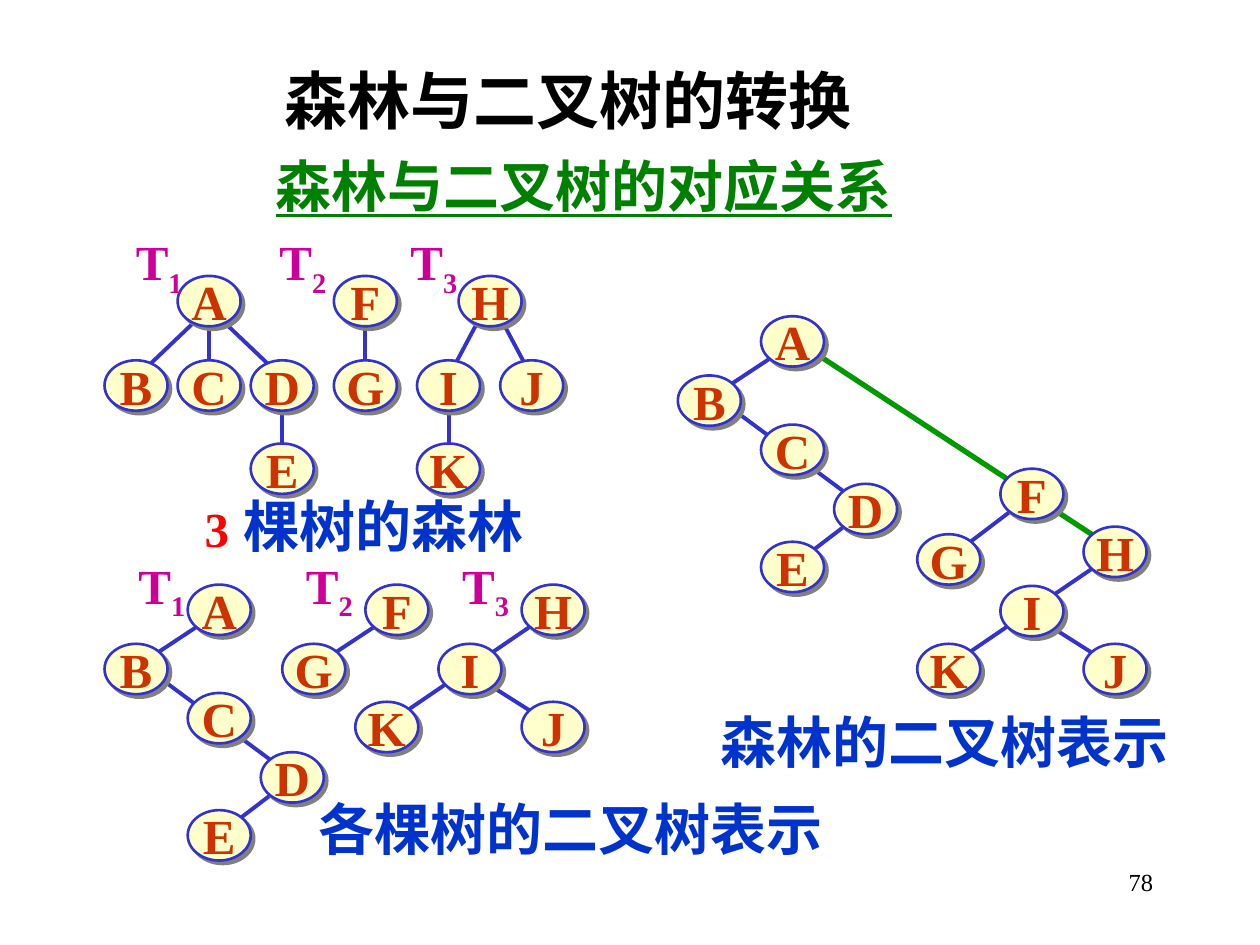
from dataclasses import dataclass

from lxml import etree
from pptx import Presentation
from pptx.dml.color import RGBColor
from pptx.enum.shapes import MSO_CONNECTOR, MSO_SHAPE
from pptx.enum.text import MSO_ANCHOR, PP_ALIGN
from pptx.oxml.ns import qn
from pptx.util import Inches, Pt

STRAIGHT = MSO_CONNECTOR.STRAIGHT
OVAL = MSO_SHAPE.OVAL
TOP, MIDDLE = MSO_ANCHOR.TOP, MSO_ANCHOR.MIDDLE
LEFT, CENTER, RIGHT = PP_ALIGN.LEFT, PP_ALIGN.CENTER, PP_ALIGN.RIGHT


@dataclass(frozen=True)
class Theme:
    serif: str = "Times New Roman"
    sans: str = "Arial"
    black: str = "000000"
    heading: str = "008000"
    caption: str = "0033CC"
    count: str = "FF0000"
    tree_name: str = "CC0099"
    letter: str = "CC3300"
    node: str = "FFFFCC"
    edge: str = "3333CC"
    joining_edge: str = "009900"
    shadow: str = "808080"
    title_size: int = 36
    caption_size: int = 32
    letter_size: int = 28
    number_size: int = 14


# Trees: node centres relative to the root, and edges as offsets (x, y at the
# start, x, y at the end) from the centres of the two nodes they connect.
NODE_W, NODE_H = 0.5, 0.4
LEFT_DOWN = (-0.08, 0.07, 0.08, -0.07)
VERTICAL = (0, 0.13, 0, -0.14)

FOREST_A = (
    {"A": (0, 0), "B": (-0.58, 0.67), "C": (0, 0.67), "D": (0.58, 0.67),
     "E": (0.58, 1.33)},
    {"AB": (-0.08, 0.13, 0.08, -0.14), "AC": VERTICAL,
     "AD": (0.08, 0.13, -0.08, -0.14), "DE": VERTICAL},
)
FOREST_F = ({"F": (0, 0), "G": (0, 0.67)}, {"FG": VERTICAL})
FOREST_H = (
    {"H": (0, 0), "I": (-0.33, 0.67), "J": (0.33, 0.67), "K": (-0.33, 1.33)},
    {"HI": (-0.08, 0.13, 0, -0.07), "HJ": (0.08, 0.13, 0, -0.07),
     "IK": VERTICAL},
)
BINARY_A = (
    {"A": (0, 0), "B": (-0.66, 0.47), "C": (0, 0.86), "D": (0.58, 1.33),
     "E": (0, 1.79)},
    {"AB": LEFT_DOWN, "BD": (0.08, -0.01, -0.08, -0.07), "DE": LEFT_DOWN},
)
BINARY_F = ({"F": (0, 0), "G": (-0.66, 0.47)}, {"FG": LEFT_DOWN})
JOINED_F = ({"F": (0, 0), "G": (-0.66, 0.52)}, {"FG": LEFT_DOWN})
BINARY_H = (
    {"H": (0, 0), "I": (-0.66, 0.47), "K": (-1.32, 0.93), "J": (0, 0.93)},
    {"HK": (-0.09, 0.07, 0.16, -0.13), "IJ": (0.16, 0.13, -0.09, -0.07)},
)
PLACED_TREES = [
    (FOREST_A, 1.66, 2.39), (FOREST_F, 2.9, 2.39), (FOREST_H, 3.89, 2.39),
    (BINARY_A, 1.74, 4.84), (BINARY_F, 3.15, 4.84), (BINARY_H, 4.39, 4.84),
    (BINARY_A, 6.29, 2.71), (JOINED_F, 8.19, 3.92), (BINARY_H, 8.85, 4.38),
]


class TreeSlide:
    def __init__(self, s, theme):
        self.s, self.theme = s, theme

    def run(self, p, text, size, color, **extra):
        r = p.add_run()
        r.text = text
        style = {"name": self.theme.serif, "size": Pt(size), "bold": True}
        for name, value in {**style, **extra}.items():
            setattr(r.font, name, value)
        r.font.color.rgb = RGBColor.from_string(color)
        return r

    def frame(self, tf, align, anchor, wrap=True):
        tf.word_wrap, tf.vertical_anchor = wrap, anchor
        p = tf.paragraphs[0]
        p.alignment = align
        return p

    def title(self, text, *box):
        sp = self.s.shapes.title
        sp.left, sp.top, sp.width, sp.height = map(Inches, box)
        p = self.frame(sp.text_frame, LEFT, TOP)
        t = self.theme
        self.run(p, text, t.title_size, t.black, name=t.sans)

    def text(self, runs, *box, align=CENTER, anchor=MIDDLE, **extra):
        """Add a text box; runs holds (text, size, colour) tuples."""
        sp = self.s.shapes.add_textbox(*map(Inches, box))
        p = self.frame(sp.text_frame, align, anchor)
        for text, size, color in runs:
            self.run(p, text, size, color, **extra)
        return p

    def tree_names(self, tabs, *box):
        """Add T1, T2, T3 with numbers as subscripts, set apart by tab stops."""
        t = self.theme
        p = self.text([], *box, align=LEFT)
        tab_list = etree.SubElement(p._p.get_or_add_pPr(), qn("a:tabLst"))
        for tab in tabs:
            etree.SubElement(tab_list, qn("a:tab"), pos=str(Inches(tab)), algn="l")
        for i in (1, 2, 3):
            self.run(p, "T" if i == 1 else "\tT", t.letter_size, t.tree_name)
            r = self.run(p, str(i), t.letter_size, t.tree_name)
            r._r.get_or_add_rPr().set("baseline", "-25000")

    def edge(self, x1, y1, x2, y2, color, width=2.25):
        line = self.s.shapes.add_connector(STRAIGHT, *map(Inches, (x1, y1, x2, y2)))
        line.line.color.rgb = RGBColor.from_string(color)
        line.line.width = Pt(width)
        etree.SubElement(line._element.spPr, qn("a:effectLst"))

    def node(self, letter, x, y):
        t = self.theme
        box = (x - NODE_W / 2, y - NODE_H / 2, NODE_W, NODE_H)
        sp = self.s.shapes.add_shape(OVAL, *map(Inches, box))
        sp.fill.solid()
        sp.fill.fore_color.rgb = RGBColor.from_string(t.node)
        sp.line.color.rgb = RGBColor.from_string(t.edge)
        sp.line.width = Pt(1.5)
        sp.shadow.inherit = False
        effects = sp._element.spPr.find(qn("a:effectLst"))
        shadow = etree.SubElement(effects, qn("a:outerShdw"), dist=str(Pt(2.8)),
                                  dir="2700000", algn="ctr", rotWithShape="0")
        etree.SubElement(shadow, qn("a:srgbClr"), val=t.shadow)
        tf = sp.text_frame
        for side in ("left", "top", "right", "bottom"):
            setattr(tf, f"margin_{side}", 0)
        p = self.frame(tf, CENTER, MIDDLE, wrap=False)
        self.run(p, letter, t.letter_size, t.letter)

    def tree(self, shape, x, y):
        nodes, edges = shape
        spots = {k: (x + dx, y + dy) for k, (dx, dy) in nodes.items()}
        for (start, end), (dx1, dy1, dx2, dy2) in edges.items():
            (x1, y1), (x2, y2) = spots[start], spots[end]
            self.edge(x1 + dx1, y1 + dy1, x2 + dx2, y2 + dy2, self.theme.edge)
        for letter, spot in spots.items():
            self.node(letter, *spot)


def main():
    prs = Presentation()
    prs.slide_width, prs.slide_height = Inches(10), Inches(7.5)
    t = Theme()
    slide = TreeSlide(prs.slides.add_slide(prs.slide_layouts[5]), t)

    slide.title("森林与二叉树的转换", 2.16, 0.44, 5.12, 0.7)
    slide.text([("森林与二叉树的对应关系", t.caption_size, t.heading)],
               2.09, 1.15, 5.12, 0.63, align=LEFT, anchor=TOP, underline=True)

    slide.edge(6.45, 2.79, 8.77, 4.31, t.joining_edge, 3)
    for shape, x, y in PLACED_TREES:
        slide.tree(shape, x, y)
    slide.tree_names((1.14, 2.18), 0.98, 1.82, 3.06, 0.57)
    slide.tree_names((1.33, 2.57), 1, 4.39, 3.22, 0.57)

    slide.text([("3", t.letter_size, t.count), (" ", t.caption_size, t.count),
                ("棵树的森林", t.caption_size, t.caption)], 1.34, 3.85, 3.1, 0.63)
    for caption, *box in (("各棵树的二叉树表示", 2.42, 6.26, 4.22, 0.63),
                          ("森林的二叉树表示", 5.61, 5.57, 3.77, 0.63)):
        slide.text([(caption, t.caption_size, t.caption)], *box)
    slide.text([("78", t.number_size, t.black)], 7.17, 6.83, 2.08, 0.5,
               align=RIGHT, anchor=TOP, bold=False)
    prs.save("out.pptx")


if __name__ == "__main__":
    main()
